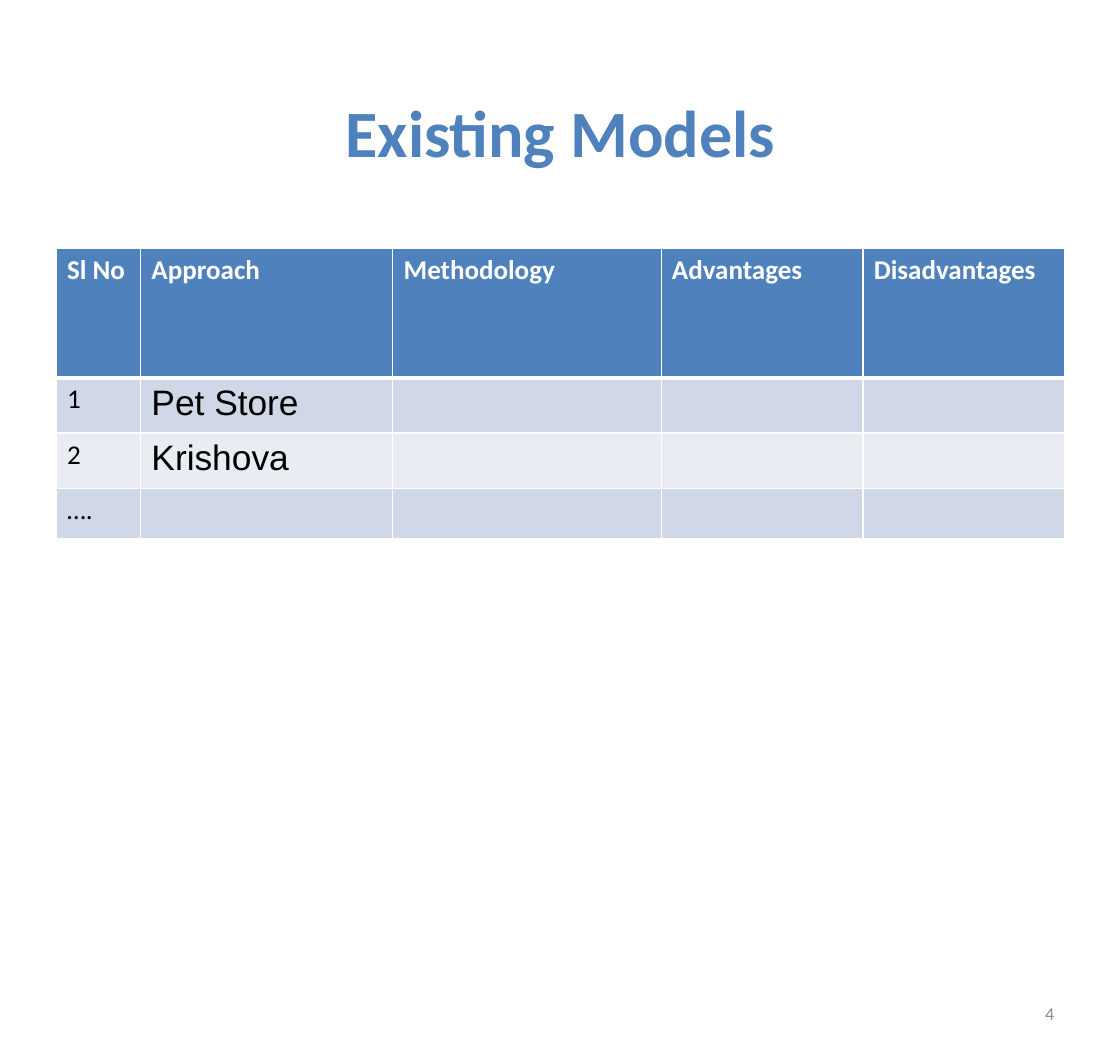
from lxml.etree import SubElement
from pptx import Presentation
from pptx.dml.color import RGBColor
from pptx.enum.text import MSO_ANCHOR as Anchor, PP_ALIGN as Align
from pptx.oxml.ns import qn
from pptx.util import Pt


def style(paragraph, font_name, size, color, bold=False):
    for run in paragraph.runs:
        run.font.name = font_name
        run.font.size = Pt(size)
        run.font.bold = bold
        run.font.color.rgb = RGBColor.from_string(color)


def add_border(cell, side, width):
    line = SubElement(cell._tc.get_or_add_tcPr(), qn(f"a:ln{side}"), w=str(Pt(width)))
    fill = SubElement(line, qn("a:solidFill"))
    SubElement(fill, qn("a:srgbClr"), val="FFFFFF")


prs = Presentation()
prs.slide_width = Pt(745.2)
prs.slide_height = Pt(707.04)
slide = prs.slides.add_slide(prs.slide_layouts[6])

labels = [
    ("Existing Models", (37.44, 28.08, 671.04, 118.08), Align.CENTER, 44, "4F81BD", True),
    ("4", (534.24, 655.2, 174.24, 37.44), Align.RIGHT, 12, "8B8B8B", False),
]
for text, bounds, align, size, color, bold in labels:
    frame = slide.shapes.add_textbox(*map(Pt, bounds)).text_frame
    frame.word_wrap = True
    frame.vertical_anchor = Anchor.MIDDLE
    frame.text = text
    frame.paragraphs[0].alignment = align
    style(frame.paragraphs[0], "Calibri", size, color, bold)

column_widths = [56.16, 167.76, 178.56, 134.28, 134.28]
row_heights = [86.4, 36.72, 36.72, 33.84]
row_fills = ["4F81BD", "D0D8E7", "E9ECF3", "D0D8E7"]
rows = [
    ["Sl No", "Approach", "Methodology", "Advantages", "Disadvantages"],
    ["1", "Pet Store", "", "", ""],
    ["2", "Krishova", "", "", ""],
    ["….", "", "", "", ""],
]
models = slide.shapes.add_table(
    len(rows), len(column_widths), Pt(37.44), Pt(164.88),
    Pt(sum(column_widths)), Pt(sum(row_heights)),
).table
for column, width in zip(models.columns, column_widths):
    column.width = Pt(width)

for r, (texts, height, fill) in enumerate(zip(rows, row_heights, row_fills)):
    models.rows[r].height = Pt(height)
    for c, text in enumerate(texts):
        cell = models.cell(r, c)
        for side in "LRTB":
            under_header = (r, side) in [(0, "B"), (1, "T")]
            add_border(cell, side, 3 if under_header else 0.96)
        cell.fill.solid()
        cell.fill.fore_color.rgb = RGBColor.from_string(fill)
        cell.text_frame.text = text
        paragraph = cell.text_frame.paragraphs[0]
        if r == 0:
            style(paragraph, "Calibri", 18, "FFFFFF", True)
        elif c == 1:
            style(paragraph, "Arial", 23.5, "000000")
        else:
            style(paragraph, "Calibri", 18, "000000")

prs.save("out.pptx")
